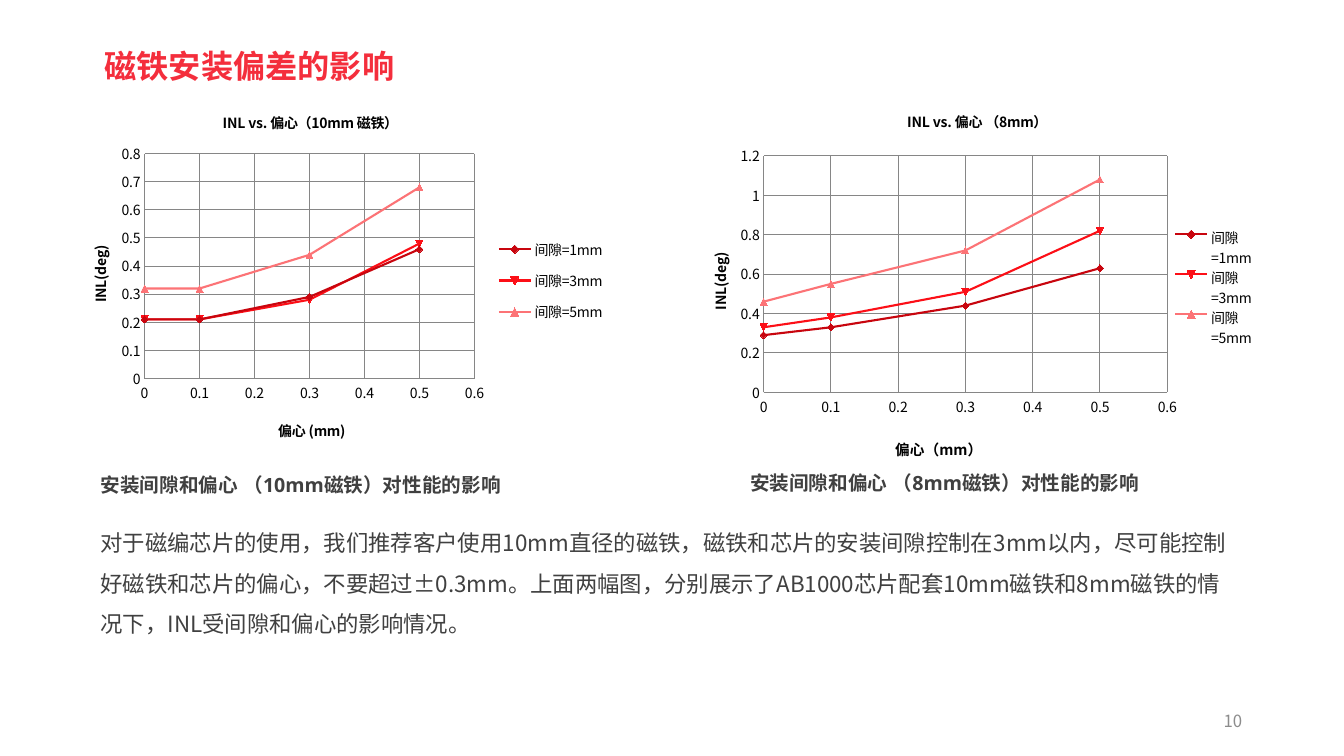
from dataclasses import dataclass

import pptx
import pptx.chart.chart
import pptx.chart.data
import pptx.dml.color
import pptx.enum.chart
import pptx.enum.shapes
import pptx.enum.text
import pptx.oxml
import pptx.oxml.ns
import pptx.util

Inches = pptx.util.Inches
Pt = pptx.util.Pt
ALIGN = pptx.enum.text.PP_ALIGN
ANCHOR = pptx.enum.text.MSO_ANCHOR
MARKER = pptx.enum.chart.XL_MARKER_STYLE
SANS = "Noto Sans CJK SC"
OPEN = "Open Sans"
ECCENTRICITIES = (0, 0.1, 0.3, 0.5)


@dataclass
class GapStyle:
    name: str
    color: str
    marker: MARKER


@dataclass
class InlChart:
    title: str
    x_title: str
    x_title_size: float
    place: tuple[float, float, float, float]
    rows: tuple[tuple[float, ...], ...]
    maximum: float
    step: float
    # Layouts are fractions of the chart: left, top and, if given, width, height
    plot: tuple[float, ...]
    legend: tuple[float, ...]
    title_at: tuple[float, ...]
    x_title_at: tuple[float, ...]
    y_title_at: tuple[float, ...]


GAPS = (
    GapStyle("间隙=1mm", "C8050E", MARKER.DIAMOND),
    GapStyle("间隙=3mm", "FC0F17", MARKER.AUTOMATIC),
    GapStyle("间隙=5mm", "FC7376", MARKER.TRIANGLE),
)
CHARTS = (
    InlChart("INL vs. 偏心（10mm 磁铁）", "偏心 (mm)", 10, (0.64, 0.93, 5.51, 3.6),
             ((0.21, 0.21, 0.29, 0.46), (0.21, 0.21, 0.28, 0.48), (0.32, 0.32, 0.44, 0.68)),
             0.8, 0.1, (0.144, 0.165, 0.594, 0.62), (0.77, 0.37, 0.21, 0.29),
             (0.28, 0.04), (0.38, 0.89), (0.04, 0.41)),
    InlChart("INL vs. 偏心 （8mm）", "偏心（mm）", 10.5, (6.77, 0.95, 5.95, 3.73),
             ((0.29, 0.33, 0.44, 0.63), (0.33, 0.38, 0.51, 0.82), (0.46, 0.55, 0.72, 1.08)),
             1.2, 0.2, (0.135, 0.16, 0.673, 0.629), (0.81, 0.35, 0.15, 0.32),
             (0.37, 0.03), (0.35, 0.9), (0.04, 0.41)),
)


def rgb(color: str) -> pptx.dml.color.RGBColor:
    return pptx.dml.color.RGBColor.from_string(color)


def set_font(font, size: float, color: str, name: str = SANS, bold: bool = False) -> None:
    font.size, font.bold, font.name = Pt(size), bold, name
    font.color.rgb = rgb(color)
    latin = font._element.find(pptx.oxml.ns.qn("a:latin"))
    latin.addnext(pptx.oxml.parse_xml(
        f'<a:ea {pptx.oxml.ns.nsdecls("a")} typeface="{name}"/>'))


def write(box, text: str, *, size: float, color: str, name: str = SANS, bold: bool = False,
          align: ALIGN = ALIGN.LEFT, anchor: ANCHOR = ANCHOR.MIDDLE,
          spacing: float = 1.0, before: float = 0) -> None:
    frame = box.text_frame
    frame.word_wrap = True
    frame.vertical_anchor = anchor
    para = frame.paragraphs[0]
    para.alignment, para.line_spacing, para.space_before = align, spacing, Pt(before)
    span = para.add_run()
    span.text = text
    set_font(span.font, size, color, name, bold)


def add_text(page, place: tuple[float, ...], text: str, **text_format) -> None:
    write(page.shapes.add_textbox(*map(Inches, place)), text, **text_format)


def set_layout(part, place: tuple[float, ...], inner: bool = False) -> None:
    """Fix a chart part at fractions of the chart area."""
    for old in part.findall(pptx.oxml.ns.qn("c:layout")):
        part.remove(old)
    target = '<c:layoutTarget val="inner"/>' if inner else ""
    modes = '<c:xMode val="edge"/><c:yMode val="edge"/>'
    values = "".join(f'<c:{key} val="{value}"/>' for key, value in zip("xywh", place))
    layout = pptx.oxml.parse_xml(
        f'<c:layout {pptx.oxml.ns.nsdecls("c")}><c:manualLayout>{target}{modes}{values}'
        '</c:manualLayout></c:layout>')
    leading = [child for child in part if child.tag in
               (pptx.oxml.ns.qn("c:tx"), pptx.oxml.ns.qn("c:legendPos"))]
    part.insert(len(leading), layout)


def set_title(title, text: str, size: float, place: tuple[float, ...]) -> None:
    para = title.text_frame.paragraphs[0]
    span = para.add_run()
    span.text = text
    set_font(span.font, size, "000000", bold=True)
    set_layout(title._element, place)


def format_axis(axis, maximum: float, step: float) -> None:
    axis.minimum_scale, axis.maximum_scale, axis.major_unit = 0, maximum, step
    axis.major_tick_mark = axis.minor_tick_mark = pptx.enum.chart.XL_TICK_MARK.NONE
    axis.has_major_gridlines = True
    for line in (axis.format.line, axis.major_gridlines.format.line):
        line.color.rgb = rgb("868686")
        line.width = Pt(0.75)
    set_font(axis.tick_labels.font, 10, "000000")
    axis.tick_labels.number_format = "General"
    axis.tick_labels.number_format_is_linked = False


def add_inl_chart(page, spec: InlChart) -> None:
    data = pptx.chart.data.XyChartData()
    for gap, row in zip(GAPS, spec.rows):
        series = data.add_series(gap.name)
        for eccentricity, error in zip(ECCENTRICITIES, row):
            series.add_data_point(eccentricity, error)
    chart = page.shapes.add_chart(pptx.enum.chart.XL_CHART_TYPE.XY_SCATTER_SMOOTH,
                                  *map(Inches, spec.place), data).chart
    set_font(chart.font, 10, "000000")

    # Axes and titles
    format_axis(chart.category_axis, 0.6, 0.1)
    format_axis(chart.value_axis, spec.maximum, spec.step)
    chart.has_title = True
    set_title(chart.chart_title, spec.title, 10, spec.title_at)
    set_title(chart.category_axis.axis_title, spec.x_title, spec.x_title_size, spec.x_title_at)
    set_title(chart.value_axis.axis_title, "INL(deg)", 10, spec.y_title_at)
    chart.value_axis.axis_title.text_frame._txBody.bodyPr.set("rot", "-5400000")

    # Legend and plot area
    chart.has_legend = True
    chart.legend.position = pptx.enum.chart.XL_LEGEND_POSITION.RIGHT
    chart.legend.include_in_layout = False
    set_font(chart.legend.font, 10, "000000")
    set_layout(chart.legend._element, spec.legend)
    set_layout(chart._chartSpace.chart.plotArea, spec.plot, inner=True)

    # Curves
    chart.plots[0].vary_by_categories = False
    for gap, series in zip(GAPS, chart.plots[0].series):
        series.smooth = True
        series.format.line.color.rgb = rgb(gap.color)
        series.format.line.width = Pt(1.5)
        series.marker.style, series.marker.size = gap.marker, 5
        series.marker.format.fill.solid()
        series.marker.format.fill.fore_color.rgb = rgb(gap.color)
        series.marker.format.line.color.rgb = rgb(gap.color)


def main() -> None:
    deck = pptx.Presentation()
    deck.slide_width, deck.slide_height = Inches(13.33), Inches(7.5)
    page = deck.slides.add_slide(deck.slide_layouts[6])

    # Page number
    add_text(page, (9.42, 6.95, 3, 0.4), "10", size=12, color="8C8C8C", align=ALIGN.RIGHT)

    # Charts and captions
    for spec in CHARTS:
        add_inl_chart(page, spec)
    for place, magnet in (((0.9, 4.64, 4.48, 0.37), "10mm"), ((7.34, 4.62, 4.39, 0.37), "8mm")):
        add_text(page, place, f"安装间隙和偏心 （{magnet}磁铁）对性能的影响", size=14,
                 color="404040", name=OPEN, bold=True, spacing=0.9, before=10)

    # Explanation
    add_text(page, (0.9, 5.07, 11.46, 1.22),
             "对于磁编芯片的使用，我们推荐客户使用10mm直径的磁铁，磁铁和芯片的安装间隙控制在3mm以内，"
             "尽可能控制好磁铁和芯片的偏心，不要超过±0.3mm。上面两幅图，分别展示了AB1000芯片配套"
             "10mm磁铁和8mm磁铁的情况下，INL受间隙和偏心的影响情况。",
             size=16, color="404040", anchor=ANCHOR.TOP, spacing=1.5, before=10)

    # Heading
    heading = page.shapes.add_shape(pptx.enum.shapes.MSO_SHAPE.RECTANGLE,
                                    *map(Inches, (0.92, 0.29, 3.11, 0.77)))
    heading.shadow.inherit = False
    heading.fill.solid()
    heading.fill.fore_color.rgb = rgb("FFFFFF")
    heading.line.fill.background()
    write(heading, "磁铁安装偏差的影响", size=23, color="F42E3C", bold=True,
          align=ALIGN.CENTER, spacing=0.9)

    deck.save("out.pptx")


if __name__ == "__main__":
    main()
